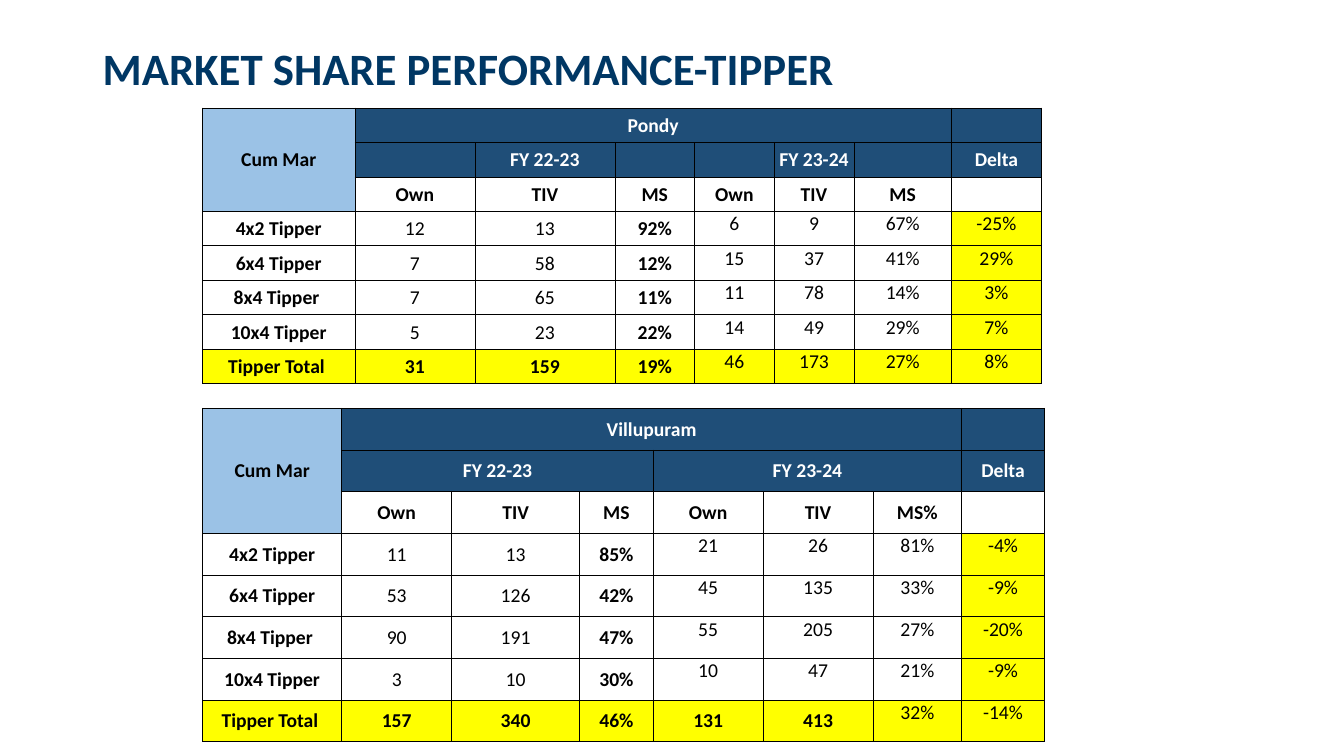
"""Build the tipper market share slide with one table per district."""
from dataclasses import dataclass

from lxml.etree import SubElement
from pptx import Presentation
from pptx.dml.color import RGBColor
from pptx.enum.text import MSO_ANCHOR, PP_ALIGN
from pptx.oxml.ns import qn
from pptx.util import Inches, Pt


@dataclass(frozen=True)
class Theme:
    font: str = "Calibri"
    title_size: int = 32
    cell_size: int = 14
    border_width: float = 0.5
    title: str = "003764"
    header: str = "1F4E78"
    corner: str = "9BC2E6"
    highlight: str = "FFFF00"
    white: str = "FFFFFF"
    black: str = "000000"


THEME = Theme()
HEADER_ROWS, TOTAL_ROW, DELTA = 3, 7, 7
TABLE_LEFT, TABLE_WIDTH = 2.01, 8.34
MODELS = ["4x2 Tipper", "6x4 Tipper", "8x4 Tipper ", "10x4 Tipper", "Tipper Total "]

districts = [
    {
        "top": 1.07, "row_height": 2.74 / 8, "bold_totals": 4,
        "columns": [1.51, 1.19, 1.39, 0.79, 0.79, 0.79, 0.97, 0.89],
        "merges": [(0, 0, 2, 0), (0, 1, 0, 6)],
        "headings": [
            ["Cum Mar", "Pondy", "", "", "", "", "", ""],
            ["", "", "FY 22-23", "", "", "FY 23-24", "", "Delta"],
            ["", "Own", "TIV", "MS", "Own", "TIV", "MS", ""],
        ],
        "figures": [
            ["12", "13", "92%", "6", "9", "67%", "-25%"],
            ["7", "58", "12%", "15", "37", "41%", "29%"],
            ["7", "65", "11%", "11", "78", "14%", "3%"],
            ["5", "23", "22%", "14", "49", "29%", "7%"],
            ["31", "159", "19%", "46", "173", "27%", "8%"],
        ],
    },
    {
        "top": 4.05, "row_height": 3.31 / 8, "bold_totals": 6,
        "columns": [1.38, 1.09, 1.27, 0.73, 1.09, 1.09, 0.88, 0.82],
        "merges": [(0, 0, 2, 0), (0, 1, 0, 6), (1, 1, 1, 3), (1, 4, 1, 6)],
        "headings": [
            ["Cum Mar", "Villupuram", "", "", "", "", "", ""],
            ["", "FY 22-23", "", "", "FY 23-24", "", "", "Delta"],
            ["", "Own", "TIV", "MS", "Own", "TIV", "MS%", ""],
        ],
        "figures": [
            ["11", "13", "85%", "21", "26", "81%", "-4%"],
            ["53", "126", "42%", "45", "135", "33%", "-9%"],
            ["90", "191", "47%", "55", "205", "27%", "-20%"],
            ["3", "10", "30%", "10", "47", "21%", "-9%"],
            ["157", "340", "46%", "131", "413", "32%", "-14%"],
        ],
    },
]


def write(paragraph, text, size, color, bold):
    run = paragraph.add_run()
    run.text = text
    run.font.name = THEME.font
    run.font.size = Pt(size)
    run.font.bold = bold
    run.font.color.rgb = RGBColor.from_string(color)


def outline(cell):
    properties = cell._tc.get_or_add_tcPr()
    for side in ("a:lnL", "a:lnR", "a:lnT", "a:lnB"):
        line = SubElement(properties, qn(side), w=str(Pt(THEME.border_width)))
        SubElement(SubElement(line, qn("a:solidFill")), qn("a:srgbClr"), val=THEME.black)


deck = Presentation()
deck.slide_width, deck.slide_height = Inches(13.33), Inches(7.5)
slide = deck.slides.add_slide(deck.slide_layouts[6])

heading = slide.shapes.add_textbox(Inches(0.92), Inches(0.4), Inches(11.18), Inches(0.59)).text_frame
heading.word_wrap = True
heading.vertical_anchor = MSO_ANCHOR.BOTTOM
heading.paragraphs[0].line_spacing = 0.9
write(heading.paragraphs[0], "MARKET SHARE PERFORMANCE-TIPPER", THEME.title_size, THEME.title, True)

for district in districts:
    rows = district["headings"] + [[model, *line] for model, line in zip(MODELS, district["figures"])]
    share = slide.shapes.add_table(
        len(rows), len(rows[0]), Inches(TABLE_LEFT), Inches(district["top"]),
        Inches(TABLE_WIDTH), Inches(district["row_height"] * len(rows))).table
    share.first_row = share.horz_banding = False
    for column, width in zip(share.columns, district["columns"]):
        column.width = Inches(width)
    for row in share.rows:
        row.height = Inches(district["row_height"])
    for top, left, bottom, right in district["merges"]:
        share.cell(top, left).merge(share.cell(bottom, right))

    for r, texts in enumerate(rows):
        for c, text in enumerate(texts):
            in_header, in_total = r < HEADER_ROWS, r == TOTAL_ROW
            in_band = r < HEADER_ROWS - 1 and c > 0
            bold = in_header or (c < district["bold_totals"] if in_total else c in (0, 3))
            centred = bold or c < 4
            if in_header and c == 0:
                fill = THEME.corner
            elif in_band:
                fill = THEME.header
            elif in_total or (c == DELTA and not in_header):
                fill = THEME.highlight
            else:
                fill = THEME.white

            cell = share.cell(r, c)
            outline(cell)
            cell.fill.solid()
            cell.fill.fore_color.rgb = RGBColor.from_string(fill)
            cell.margin_left = cell.margin_right = cell.margin_top = Inches(0.01)
            cell.margin_bottom = 0
            cell.vertical_anchor = MSO_ANCHOR.MIDDLE if centred else MSO_ANCHOR.TOP
            label = cell.text_frame.paragraphs[0]
            label.alignment = PP_ALIGN.CENTER
            if text:
                write(label, text, THEME.cell_size, THEME.white if in_band else THEME.black, bold)

deck.save("out.pptx")
